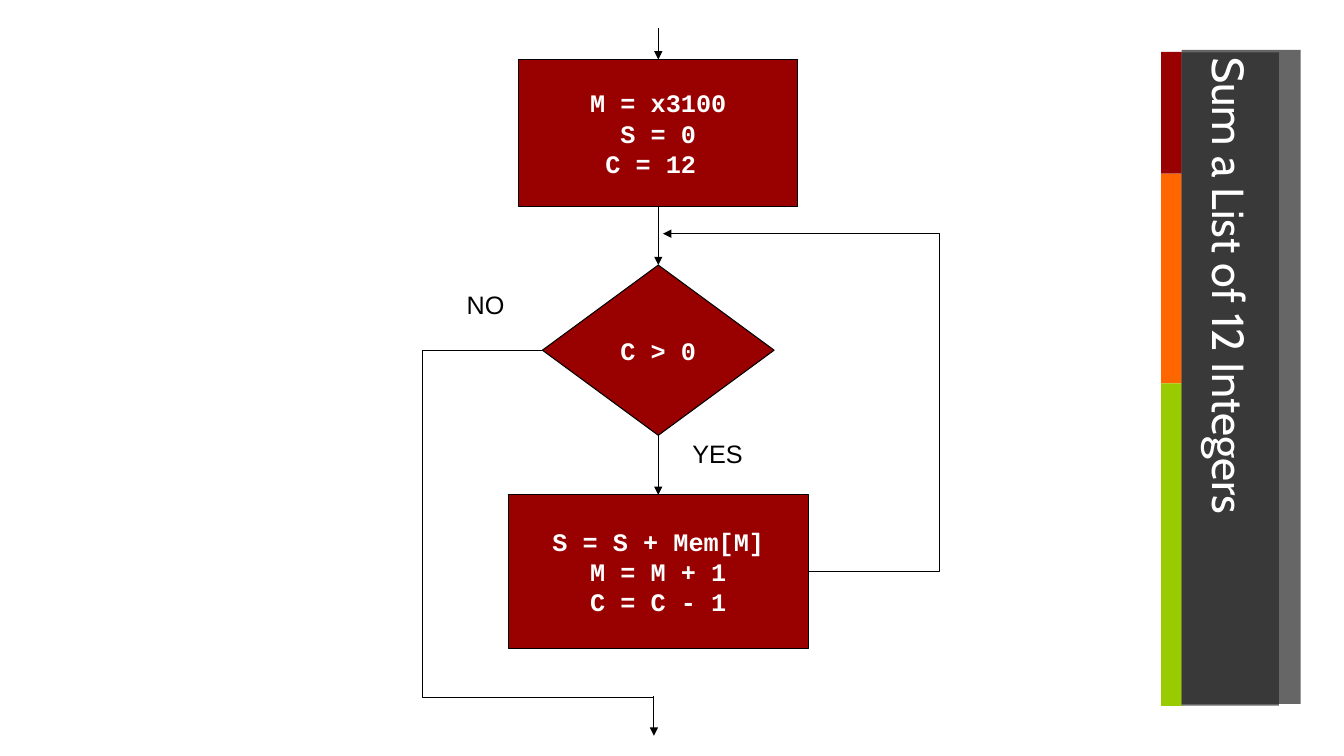
from lxml import etree
from pptx import Presentation
from pptx.dml.color import RGBColor
from pptx.enum.shapes import MSO_CONNECTOR, MSO_SHAPE
from pptx.enum.text import MSO_ANCHOR, MSO_AUTO_SIZE, PP_ALIGN
from pptx.oxml.ns import qn
from pptx.util import Cm, Pt

RECTANGLE = MSO_SHAPE.RECTANGLE
PROCESS = MSO_SHAPE.FLOWCHART_PROCESS
DECISION = MSO_SHAPE.FLOWCHART_DECISION
STRAIGHT, ELBOW = MSO_CONNECTOR.STRAIGHT, MSO_CONNECTOR.ELBOW
LEFT, CENTER = PP_ALIGN.LEFT, PP_ALIGN.CENTER
MIDDLE = MSO_ANCHOR.MIDDLE


class Theme:
    white = RGBColor(0xFF, 0xFF, 0xFF)
    black = RGBColor(0x00, 0x00, 0x00)
    red = RGBColor(0x99, 0x00, 0x00)
    orange = RGBColor(0xFF, 0x66, 0x00)
    green = RGBColor(0x99, 0xCC, 0x00)
    charcoal = RGBColor(0x26, 0x26, 0x26)
    charcoal_opacity = 70
    title_font, code_font, label_font = "Cabin", "Courier New", "Arial"
    title_size, text_size, line_width = Pt(32), Pt(18), Pt(0.75)


def fill_charcoal(shape):
    """Fill with the see-through charcoal of the title bar."""
    shape.fill.solid()
    shape.fill.fore_color.rgb = Theme.charcoal
    color = shape.fill._xPr.find(qn("a:solidFill"))[0]
    alpha = etree.SubElement(color, qn("a:alpha"))
    alpha.set("val", str(Theme.charcoal_opacity * 1000))


def write_lines(frame, lines, font, size, color, align, bold=False):
    for index, line in enumerate(lines):
        para = frame.paragraphs[0] if index == 0 else frame.add_paragraph()
        para.alignment = align
        span = para.add_run()
        span.text = line
        span.font.name = font
        span.font.size = size
        span.font.bold = bold
        span.font.color.rgb = color


deck = Presentation()
deck.slide_width, deck.slide_height = Cm(33.87), Cm(19.05)
page = deck.slides.add_slide(deck.slide_layouts[5])
shapes = page.shapes

# Title bar at the right edge, with its colour strips
bar = shapes.add_shape(RECTANGLE, Cm(29.78), Cm(1.26), Cm(3), Cm(16.48))
bar.shadow.inherit = False
bar.line.fill.background()
fill_charcoal(bar)

strip_top = 1.31
for color, height in ((Theme.red, 3.07), (Theme.orange, 5.28), (Theme.green, 8.13)):
    strip = shapes.add_shape(RECTANGLE, Cm(29.26), Cm(strip_top), Cm(0.52), Cm(height))
    strip.shadow.inherit = False
    strip.fill.solid()
    strip.fill.fore_color.rgb = color
    strip.line.fill.background()
    strip_top += height

# Flowchart steps, centred on one axis
axis = 16.59
steps = (
    (PROCESS, 1.5, 7.04, 3.71, ("M = x3100", "S = 0", "C = 12 ")),
    (DECISION, 6.68, 5.84, 4.29, ("C > 0",)),
    (PROCESS, 12.47, 7.57, 3.86, ("S = S + Mem[M]", "M = M + 1", "C = C - 1")),
)
for kind, top, width, height, lines in steps:
    step = shapes.add_shape(kind, Cm(axis - width / 2), Cm(top), Cm(width), Cm(height))
    step.shadow.inherit = False
    step.fill.solid()
    step.fill.fore_color.rgb = Theme.red
    step.line.color.rgb = Theme.black
    step.line.width = Theme.line_width
    step.text_frame.word_wrap = False
    step.text_frame.vertical_anchor = MIDDLE
    write_lines(step.text_frame, lines, Theme.code_font, Theme.text_size,
                Theme.white, CENTER, bold=True)

for answer, left, top, width in (("YES", 17.2, 10.92, 1.8), ("NO", 11.51, 7.16, 1.47)):
    label = shapes.add_textbox(Cm(left), Cm(top), Cm(width), Cm(1.02))
    label.text_frame.word_wrap = False
    write_lines(label.text_frame, [answer], Theme.label_font, Theme.text_size,
                Theme.black, LEFT)

# Flow lines: start, end, x of the bend (None when straight), arrowhead
exit_x = 16.48
flows = (
    ((axis, 0.71), (axis, 1.5), None, True),
    ((axis, 5.21), (axis, 6.68), None, True),
    ((axis, 10.97), (axis, 12.47), None, True),
    ((20.38, 14.4), (16.71, 5.89), 23.67, True),
    ((13.67, 8.84), (exit_x, 17.58), 10.64, False),
    ((exit_x, 17.53), (exit_x, 18.54), None, True),
)
for start, end, bend_x, has_arrow in flows:
    kind = STRAIGHT if bend_x is None else ELBOW
    flow = shapes.add_connector(kind, *(Cm(value) for value in start + end))
    flow.line.color.rgb = Theme.black
    flow.line.width = Theme.line_width
    properties = flow._element.spPr
    if bend_x is not None:
        share = (bend_x - start[0]) / (end[0] - start[0])
        guides = properties.find(qn("a:prstGeom")).get_or_add_avLst()
        guide = etree.SubElement(guides, qn("a:gd"))
        guide.set("name", "adj1")
        guide.set("fmla", f"val {round(share * 100000)}")
    if has_arrow:
        head = etree.SubElement(properties.find(qn("a:ln")), qn("a:tailEnd"))
        head.set("type", "triangle")
    etree.SubElement(properties, qn("a:effectLst"))

# Title, read from top to bottom, in front of the bar
title = shapes.title
title.left, title.top, title.width, title.height = Cm(29.77), Cm(1.32), Cm(2.46), Cm(16.46)
fill_charcoal(title)
title.text_frame.word_wrap = True
title.text_frame.auto_size = MSO_AUTO_SIZE.NONE
title.text_frame.vertical_anchor = MIDDLE
title.text_frame._txBody.bodyPr.set("vert", "eaVert")
write_lines(title.text_frame, ["Sum a List of 12 Integers"], Theme.title_font,
            Theme.title_size, Theme.white, LEFT)
shapes._spTree.append(title._element)

deck.save("out.pptx")
